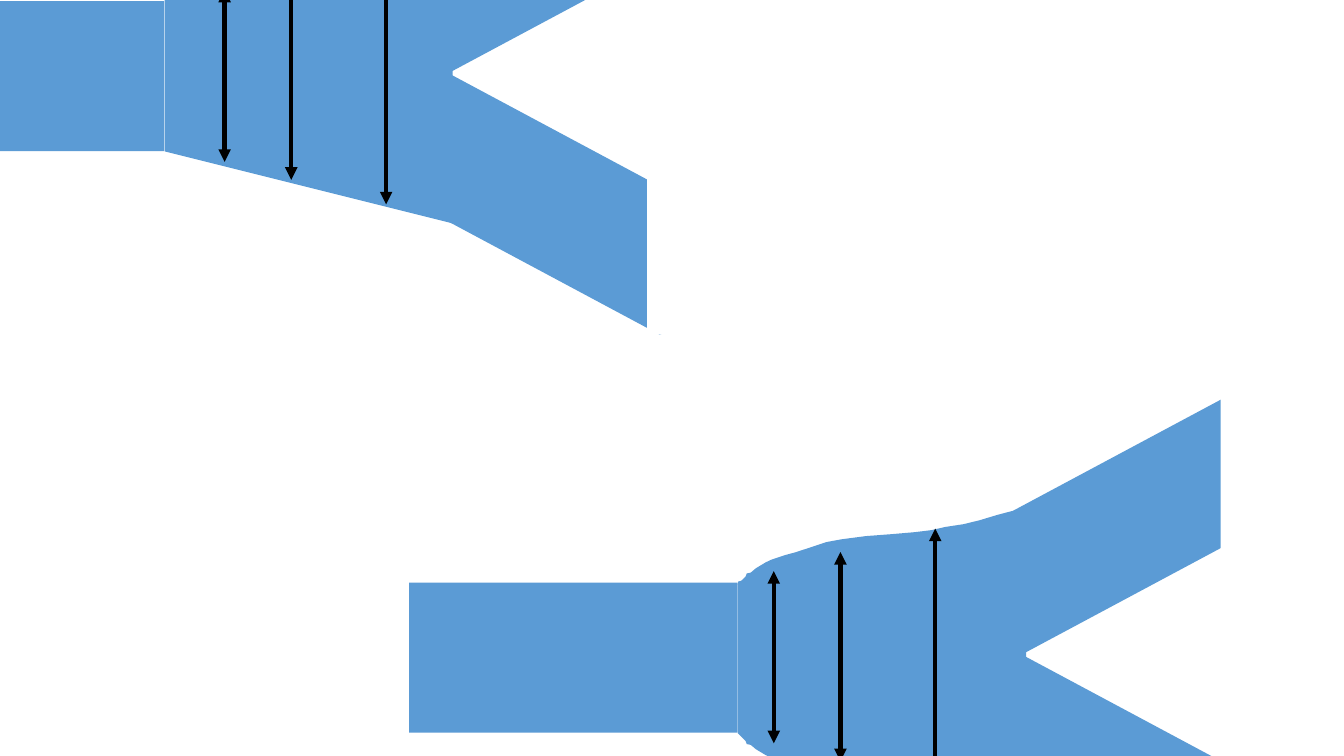
from lxml import etree
from pptx import Presentation
from pptx.dml.color import RGBColor
from pptx.enum.shapes import MSO_CONNECTOR, MSO_SHAPE
from pptx.oxml.ns import qn
from pptx.util import Cm, Pt

RECTANGLE = MSO_SHAPE.RECTANGLE
TRAPEZOID = MSO_SHAPE.TRAPEZOID
STRIPE = MSO_SHAPE.DIAGONAL_STRIPE
STRAIGHT = MSO_CONNECTOR.STRAIGHT

COLORS = {"vessel": "5B9BD5", "cover": "FFFFFF", "arrow": "000000"}

VESSEL_PARTS = [
    (RECTANGLE, 0, 0, 8.28, 3.78, 0, False, "vessel"),
    (TRAPEZOID, 8.2, -1.75, 7.44, 7.26, 270, False, "vessel"),
    (STRIPE, 14.76, -4.95, 9.47, 9.19, 16, False, "vessel"),
    (STRIPE, 14.76, -0.61, 9.47, 9.19, 344, True, "vessel"),
    (RECTANGLE, 20.45, -4.83, 4.88, 13.23, 0, False, "cover"),
]

DIAMETERS = [(9.8, 4.05, -0.29), (11.48, 4.5, -0.77), (13.87, 5.12, -1.36)]

BULGE = [
    (8.28, 0.05), (8.48, -0.15), (8.51, -0.23), (8.61, -0.25), (8.74, -0.36),
    (8.99, -0.51), (9.14, -0.58), (9.32, -0.64), (9.47, -0.69), (9.73, -0.76),
    (10.19, -0.91), (10.52, -1.02), (10.9, -1.09), (11.51, -1.17),
    (12.17, -1.22), (12.75, -1.27), (13.16, -1.32), (13.51, -1.4),
    (13.97, -1.47), (14.38, -1.57), (14.81, -1.7), (15.11, -1.78),
    (15.54, -1.88), (15.82, -1.91), (16.08, -1.83), (15.95, -1.12),
    (15.9, -0.58), (15.72, -0.38), (14.55, -0.25), (13.36, -0.13),
    (12.37, -0.03), (11.28, 0.05), (10.54, 0.13), (9.63, 0.25),
    (9.25, 0.3), (8.69, 0.3), (8.43, 0.2),
]
MIRROR_SUM = 3.84
MIRRORED_BULGE = [(x, MIRROR_SUM - y) for x, y in BULGE]

BIFURCATIONS = [
    {"origin": (-4.14, 0.03), "arrow_shift": 0, "bulges": []},
    {"origin": (10.31, 14.68), "arrow_shift": -0.61,
     "bulges": [MIRRORED_BULGE, BULGE]},
]


def paint(part, color):
    part.shadow.inherit = False
    part.fill.solid()
    part.fill.fore_color.rgb = RGBColor.from_string(COLORS[color])
    part.line.fill.background()


def add_vessel_part(group, origin, kind, x, y, width, height, turn, flipped, color):
    part = group.shapes.add_shape(
        kind, Cm(origin[0] + x), Cm(origin[1] + y), Cm(width), Cm(height))
    part.rotation = turn
    if flipped:
        part._element.spPr.find(qn("a:xfrm")).set("flipV", "1")
    paint(part, color)


def add_bulge(group, origin, outline):
    points = [(Cm(origin[0] + x), Cm(origin[1] + y)) for x, y in outline]
    builder = group.shapes.build_freeform(*points[0])
    builder.add_line_segments(points[1:], close=True)
    paint(builder.convert_to_shape(), "vessel")


def add_diameter(group, origin, x, bottom, top):
    across = Cm(origin[0] + x)
    arrow = group.shapes.add_connector(
        STRAIGHT, across, Cm(origin[1] + bottom), across, Cm(origin[1] + top))
    arrow.line.width = Pt(3)
    arrow.line.color.rgb = RGBColor.from_string(COLORS["arrow"])
    stroke = arrow.line._get_or_add_ln()
    for end in ("a:headEnd", "a:tailEnd"):
        etree.SubElement(stroke, qn(end), type="triangle")
    etree.SubElement(arrow._element.spPr, qn("a:effectLst"))


def main():
    deck = Presentation()
    deck.slide_width = Cm(33.87)
    deck.slide_height = Cm(19.05)
    slide = deck.slides.add_slide(deck.slide_layouts[6])
    for bifurcation in BIFURCATIONS:
        origin = bifurcation["origin"]
        group = slide.shapes.add_group_shape()
        for vessel_part in VESSEL_PARTS:
            add_vessel_part(group, origin, *vessel_part)
        for outline in bifurcation["bulges"]:
            add_bulge(group, origin, outline)
        for x, bottom, top in DIAMETERS:
            add_diameter(group, origin, x + bifurcation["arrow_shift"], bottom, top)
    deck.save("out.pptx")


if __name__ == "__main__":
    main()
